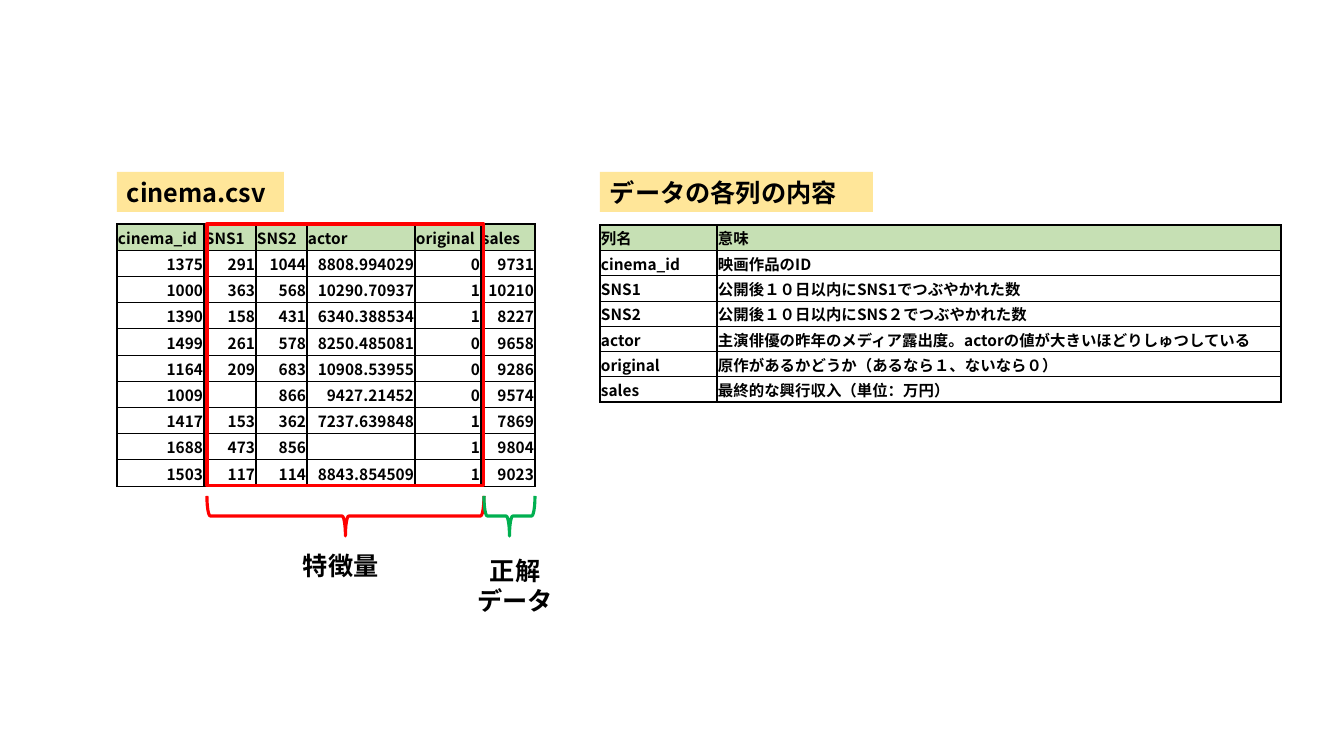
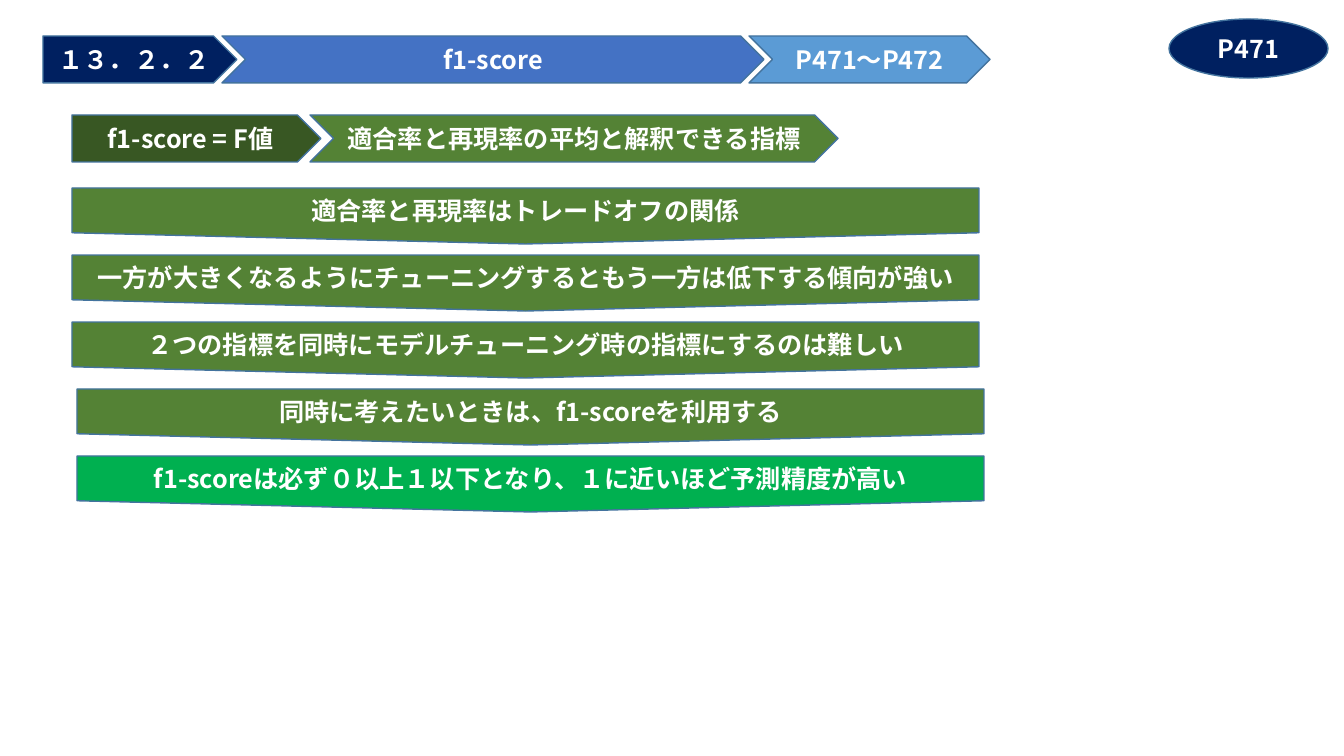
"""Build two lesson slides: the cinema data set and the f1-score."""
from lxml import etree
from pptx import Presentation
from pptx.dml.color import RGBColor
from pptx.enum.shapes import MSO_SHAPE
from pptx.enum.text import MSO_ANCHOR, PP_ALIGN
from pptx.oxml.ns import qn
from pptx.util import Pt

SCALE = 914400 / 100.8
FONT = "Noto Sans CJK JP"
COLORS = {
    "text": "000000", "white": "FFFFFF", "label": "FFE699", "header": "C6E0B4",
    "feature": "FF0000", "answer": "00B050", "navy": "002060", "outline": "43739E",
    "blue": "4472C4", "sky": "5B9BD5", "forest": "385723", "green": "548235",
}
RECT, BRACE, OVAL = MSO_SHAPE.RECTANGLE, MSO_SHAPE.LEFT_BRACE, MSO_SHAPE.OVAL
PENTAGON, CHEVRON = MSO_SHAPE.PENTAGON, MSO_SHAPE.CHEVRON
BANNER = MSO_SHAPE.FLOWCHART_OFFPAGE_CONNECTOR
LEFT, CENTER, RIGHT = PP_ALIGN.LEFT, PP_ALIGN.CENTER, PP_ALIGN.RIGHT
TOP, MIDDLE = MSO_ANCHOR.TOP, MSO_ANCHOR.MIDDLE


def px(*lengths):
    """Turn pixel lengths into EMU."""
    return [round(length * SCALE) for length in lengths]


def rgb(name):
    """Look up a named colour."""
    return RGBColor.from_string(COLORS[name])


class Deck:
    """Hold the presentation, the current slide and the shared style."""

    def __init__(self, width, height):
        """Start an empty presentation."""
        self.prs = Presentation()
        self.prs.slide_width, self.prs.slide_height = px(width, height)
        self.slide = None

    def new_slide(self):
        """Add a blank slide and make it current."""
        self.slide = self.prs.slides.add_slide(self.prs.slide_layouts[6])

    def set_text(self, frame, text, size=18, color="text", align=LEFT):
        """Fill a text frame in the shared bold font."""
        frame.text = text
        for paragraph in frame.paragraphs:
            paragraph.alignment = align
            font = paragraph.font
            font.name, font.size, font.bold = FONT, Pt(size), True
            font.color.rgb = rgb(color)
            defaults = paragraph._p.pPr.find(qn("a:defRPr"))
            etree.SubElement(defaults, qn("a:ea"), typeface=FONT)
            if not text:
                etree.SubElement(paragraph._p, qn("a:endParaRPr"), sz=str(size * 100))

    def shape(self, kind, box, fill=None, line=None, weight=1):
        """Add a flat preset shape."""
        shape = self.slide.shapes.add_shape(kind, *px(*box))
        shape.shadow.inherit = False
        if fill:
            shape.fill.solid()
            shape.fill.fore_color.rgb = rgb(fill)
        else:
            shape.fill.background()
        if line:
            shape.line.color.rgb = rgb(line)
            shape.line.width = Pt(weight)
        else:
            shape.line.fill.background()
        return shape

    def label(self, box, text):
        """Add a highlighted heading above a table."""
        frame = self.shape(RECT, box, "label").text_frame
        frame.vertical_anchor = TOP
        self.set_text(frame, text)

    def banner(self, kind, box, fill, text):
        """Add an outlined shape with centred white text."""
        frame = self.shape(kind, box, fill, "outline").text_frame
        frame.vertical_anchor = MIDDLE
        self.set_text(frame, text, color="white", align=CENTER)

    def text(self, box, text, align=LEFT):
        """Add a plain text box."""
        frame = self.slide.shapes.add_textbox(*px(*box)).text_frame
        frame.word_wrap = True
        self.set_text(frame, text, align=align)

    def brace(self, box, color):
        """Add a brace that opens upwards and fills the box."""
        left, top, width, height = box
        shift = (width - height) / 2
        upright = (left + shift, top - shift, height, width)
        self.shape(BRACE, upright, line=color, weight=2.25).rotation = 270

    def border(self, cell, widths):
        """Draw the left, right, top and bottom borders of a cell."""
        properties = cell._tc.get_or_add_tcPr()
        for side, width in zip("LRTB", widths):
            line = etree.SubElement(properties, qn(f"a:ln{side}"), w=str(int(Pt(width))))
            fill = etree.SubElement(line, qn("a:solidFill"))
            etree.SubElement(fill, qn("a:srgbClr"), val=COLORS["text"])

    def table(self, left, top, height, widths, rows, outer, bottom, align):
        """Add a ruled table with a tinted header row."""
        frame = self.slide.shapes.add_table(
            len(rows), len(widths), *px(left, top, sum(widths), height))
        table = frame.table
        table.first_row = table.horz_banding = False
        for column, width in zip(table.columns, px(*widths)):
            column.width = width
        last_row, last_column = len(rows) - 1, len(widths) - 1
        for r, row in enumerate(rows):
            for c, value in enumerate(row):
                cell = table.cell(r, c)
                cell.vertical_anchor = MIDDLE
                cell.margin_left, cell.margin_right, cell.margin_top = px(1, 1, 1)
                cell.margin_bottom = 0
                self.border(cell, (
                    2 if c else outer, 2 if c < last_column else outer,
                    0.5 if r else outer, 0.5 if r < last_row else bottom))
                if r:
                    cell.fill.background()
                else:
                    cell.fill.solid()
                    cell.fill.fore_color.rgb = rgb("header")
                self.set_text(cell.text_frame, value, 11, align=align if r else LEFT)


CINEMA = [
    ("cinema_id", "SNS1", "SNS2", "actor", "original", "sales"),
    ("1375", "291", "1044", "8808.994029", "0", "9731"),
    ("1000", "363", "568", "10290.70937", "1", "10210"),
    ("1390", "158", "431", "6340.388534", "1", "8227"),
    ("1499", "261", "578", "8250.485081", "0", "9658"),
    ("1164", "209", "683", "10908.53955", "0", "9286"),
    ("1009", "", "866", "9427.21452", "0", "9574"),
    ("1417", "153", "362", "7237.639848", "1", "7869"),
    ("1688", "473", "856", "", "1", "9804"),
    ("1503", "117", "114", "8843.854509", "1", "9023"),
]
MEANINGS = [
    ("列名", "意味"),
    ("cinema_id", "映画作品のID"),
    ("SNS1", "公開後１０日以内にSNS1でつぶやかれた数"),
    ("SNS2", "公開後１０日以内にSNS２でつぶやかれた数"),
    ("actor", "主演俳優の昨年のメディア露出度。actorの値が大きいほどりしゅつしている"),
    ("original", "原作があるかどうか（あるなら１、ないなら０）"),
    ("sales", "最終的な興行収入（単位：万円）"),
]
HEADER_CHAIN = [
    (PENTAGON, (43, 36, 194, 47), "navy", "１３．２．２"),
    (CHEVRON, (222, 36, 542, 47), "blue", "f1-score"),
    (CHEVRON, (749, 36, 241, 47), "sky", "P471～P472"),
    (OVAL, (1169, 19, 159, 59), "navy", "P471"),
    (PENTAGON, (72, 115, 249, 47), "forest", "f1-score = F値"),
    (CHEVRON, (310, 115, 528, 47), "green", "適合率と再現率の平均と解釈できる指標"),
]
POINTS = [
    (72, "green", "適合率と再現率はトレードオフの関係"),
    (72, "green", "一方が大きくなるようにチューニングするともう一方は低下する傾向が強い"),
    (72, "green", "２つの指標を同時にモデルチューニング時の指標にするのは難しい"),
    (77, "green", "同時に考えたいときは、f1-scoreを利用する"),
    (77, "answer", "f1-scoreは必ず０以上１以下となり、１に近いほど予測精度が高い"),
]

deck = Deck(1344, 756)

deck.new_slide()
deck.table(117, 224, 262, (87, 52, 51, 108, 66, 54), CINEMA, 1, 0.5, RIGHT)
deck.table(600, 225, 177, (117, 564), MEANINGS, 1.5, 1.5, LEFT)
deck.label((117, 172, 167, 40), "cinema.csv")
deck.label((600, 172, 273, 40), "データの各列の内容")
deck.shape(RECT, (207, 224, 277, 262), line="feature", weight=2.25)
deck.brace((207, 496, 277, 40), "feature")
deck.text((293, 545, 104, 40), "特徴量")
deck.text((463, 550, 104, 72), "正解\nデータ", CENTER)
deck.brace((484, 496, 51, 40), "answer")

deck.new_slide()
for kind, box, fill, text in HEADER_CHAIN:
    deck.banner(kind, box, fill, text)
for step, (left, fill, text) in enumerate(POINTS):
    deck.banner(BANNER, (left, 188 + 67 * step, 907, 56), fill, text)

deck.prs.save("out.pptx")
